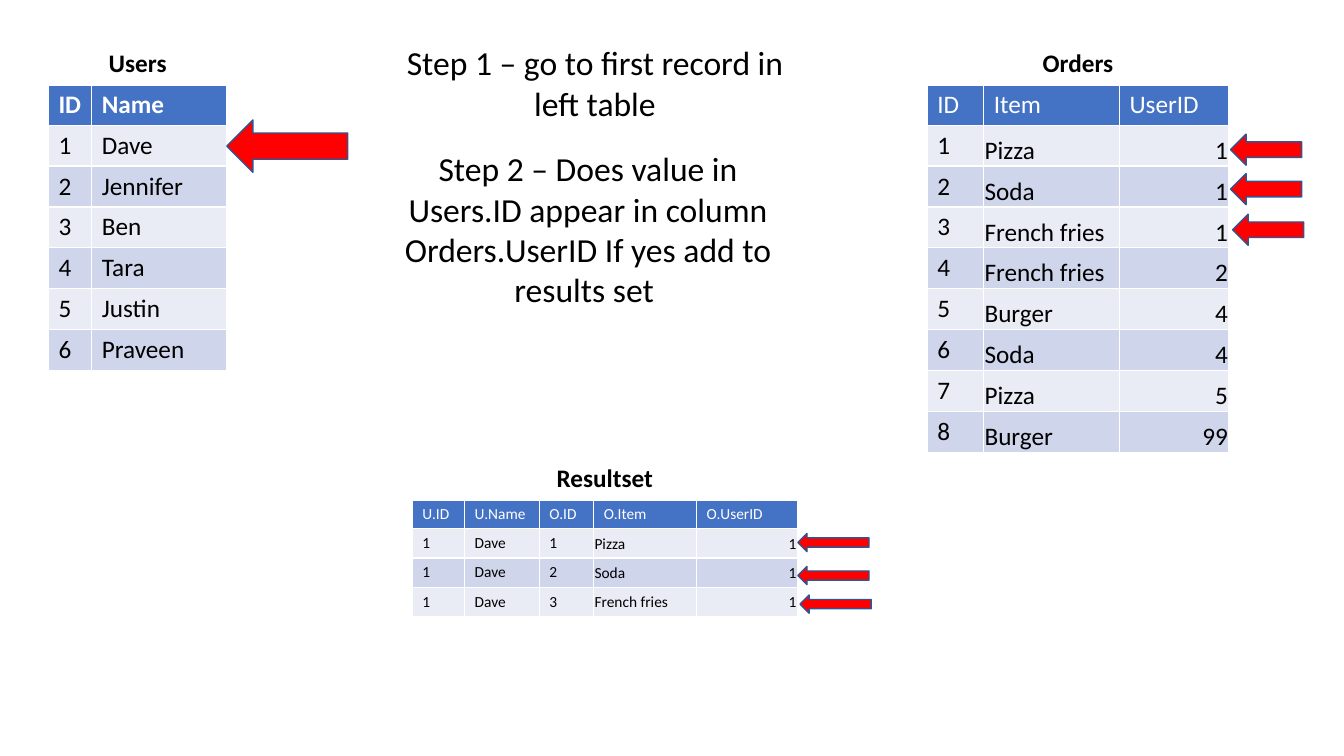
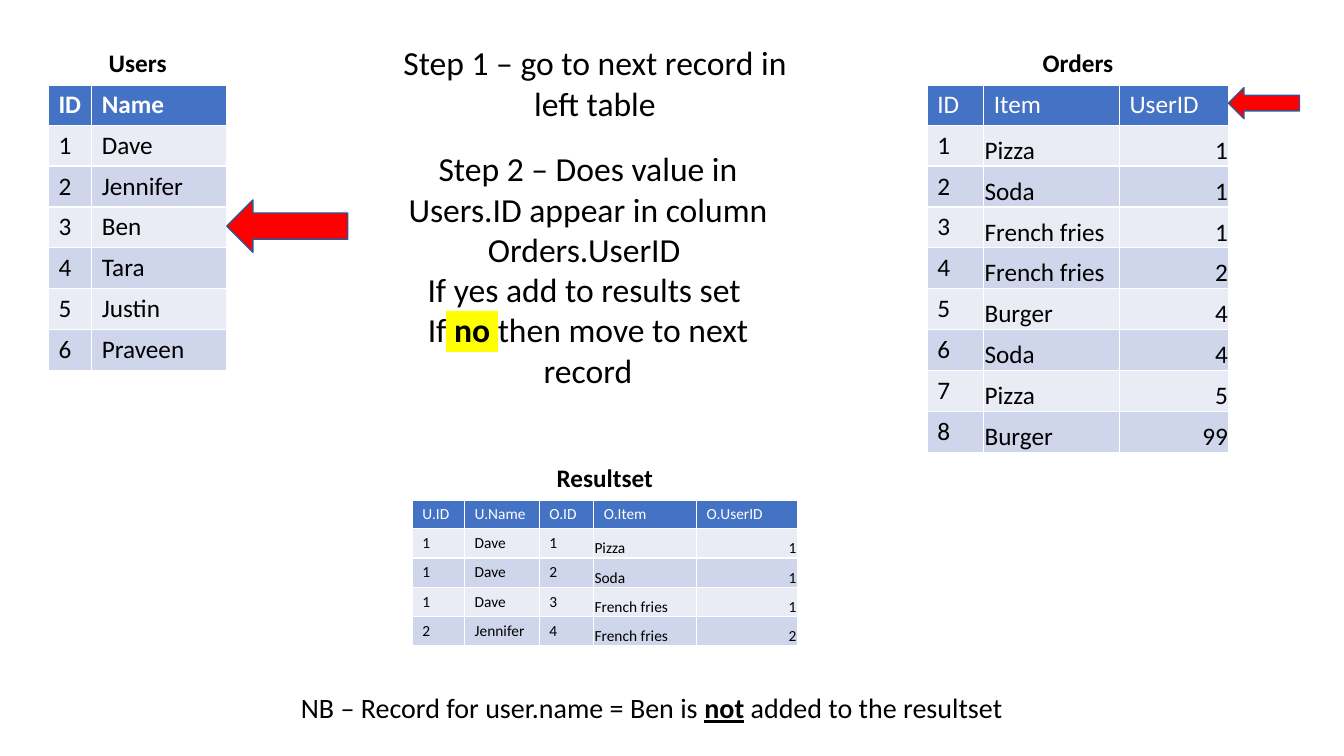
from lxml import etree
from pptx import Presentation
from pptx.dml.color import RGBColor
from pptx.enum.shapes import MSO_SHAPE
from pptx.enum.text import MSO_ANCHOR, MSO_AUTO_SIZE, PP_ALIGN
from pptx.oxml.ns import qn
from pptx.util import Pt

LEFT_ARROW = MSO_SHAPE.LEFT_ARROW
TOP, MIDDLE, BOTTOM = MSO_ANCHOR.TOP, MSO_ANCHOR.MIDDLE, MSO_ANCHOR.BOTTOM
CENTER, LEFT, RIGHT = PP_ALIGN.CENTER, PP_ALIGN.LEFT, PP_ALIGN.RIGHT
NO_FIT, GROW = MSO_AUTO_SIZE.NONE, MSO_AUTO_SIZE.SHAPE_TO_FIT_TEXT

# Shared style
FONT = "Calibri"
BLACK, WHITE, HEADER_BLUE = "000000", "FFFFFF", "4472C4"
BANDS = ("E9EBF5", "CFD5EA")
ARROW_RED, ARROW_EDGE, YELLOW = "FF0000", "325491", "FFFF00"
CAPTION_SIZE, CAPTION_HEIGHT = 18, 29.2
TIGHT_INSET = 0.6

# Tables: tight_columns are the columns whose values have almost no inset
USERS = {
    "caption": "Users", "left": 34.6, "top": 31, "columns": (31, 96.5),
    "row_height": 29.2, "size": 18, "bold_header": True,
    "tight_columns": (), "tight_anchor": TOP,
    "header": ("ID", "Name"),
    "rows": [("1", "Dave"), ("2", "Jennifer"), ("3", "Ben"),
             ("4", "Tara"), ("5", "Justin"), ("6", "Praveen")],
}
ORDERS = {
    "caption": "Orders", "left": 662.4, "top": 31, "columns": (40.3, 97, 78),
    "row_height": 29.2, "size": 18, "bold_header": False,
    "tight_columns": (1, 2), "tight_anchor": BOTTOM,
    "header": ("ID", "Item", "UserID"),
    "rows": [("1", "Pizza", "1"), ("2", "Soda", "1"),
             ("3", "French fries", "1"), ("4", "French fries", "2"),
             ("5", "Burger", "4"), ("6", "Soda", "4"),
             ("7", "Pizza", "5"), ("8", "Burger", "99")],
}
RESULT_SET = {
    "caption": "Resultset", "left": 294.5, "top": 327.6,
    "columns": (37.4, 53.3, 38.9, 73.5, 72),
    "row_height": 20.9, "size": 11, "bold_header": False,
    "tight_columns": (3, 4), "tight_anchor": MIDDLE,
    "header": ("U.ID", "U.Name", "O.ID", "O.Item", "O.UserID"),
    "rows": [("1", "Dave", "1", "Pizza", "1"),
             ("1", "Dave", "2", "Soda", "1"),
             ("1", "Dave", "3", "French fries", "1")],
}
LONGER_RESULT_SET = {
    **RESULT_SET, "tight_anchor": BOTTOM,
    "rows": RESULT_SET["rows"] + [("2", "Jennifer", "4", "French fries", "2")],
}

# Arrow sizes by the table they point at
USER_ARROW, ORDER_ARROW, RESULT_ARROW = (86.4, 37.4), (50.8, 22.2), (50.8, 13)

# Text is a list of paragraphs, each a list of (text, style) runs
STEP_ONE_BOX = (275, 26.6, 300, 65.5)
STEP_TWO_LEFT, STEP_TWO_TOP, STEP_TWO_WIDTH = 270, 102.2, 300
NOTE_BOX = (203, 489.6, 525, 31.5)
QUESTION = [("Step 2 – Does value in Users.ID appear in column", {})]
SLIDES = [
    {
        "step_one": [[("Step 1 – go to first record in left table", {})]],
        "step_two": [QUESTION,
                     [("Orders.UserID If yes add to results set ", {})]],
        "step_two_height": 124,
        "result_set": RESULT_SET,
        "arrows": [(USER_ARROW, [(162, 85.7)]),
                   (ORDER_ARROW, [(879, 95.8), (879, 124), (880.5, 153)]),
                   (RESULT_ARROW, [(570, 381), (570, 404.6), (571.5, 425)])],
        "note": None,
    },
    {
        "step_one": [[("Step 1 – go to next record in left table", {})]],
        "step_two": [QUESTION,
                     [("Orders.UserID ", {})],
                     [("If yes add to results set ", {})],
                     [("If", {}), (" ", {"highlight": YELLOW}),
                      ("no", {"highlight": YELLOW, "bold": True}),
                      (" ", {"highlight": YELLOW}),
                      ("then move to next record", {})]],
        "step_two_height": 181.5,
        "result_set": LONGER_RESULT_SET,
        "arrows": [(USER_ARROW, [(162, 142.8)]),
                   (ORDER_ARROW, [(877.5, 62.6)])],
        "note": [[("NB – Record for user.name = Ben is ", {}),
                  ("not", {"bold": True, "underline": True}),
                  (" added to the resultset", {})]],
    },
]


def rgb(color):
    return RGBColor.from_string(color)


def place(shape, left, top, width, height):
    shape.left, shape.top = Pt(left), Pt(top)
    shape.width, shape.height = Pt(width), Pt(height)


def add_run(paragraph, text, size, color=BLACK, bold=False, underline=False,
            highlight=None):
    run = paragraph.add_run()
    run.text = text
    font = run.font
    font.size, font.bold, font.underline = Pt(size), bold, underline
    font.color.rgb = rgb(color)
    if highlight:
        mark = etree.SubElement(font._element, qn("a:highlight"))
        etree.SubElement(mark, qn("a:srgbClr"), val=highlight)
    font.name = FONT


def write_text(shape, paragraphs, size, wrap=True, auto_size=NO_FIT):
    frame = shape.text_frame
    frame.word_wrap, frame.auto_size = wrap, auto_size
    frame.vertical_anchor = TOP
    for index, runs in enumerate(paragraphs):
        paragraph = frame.add_paragraph() if index else frame.paragraphs[0]
        properties = paragraph._p.get_or_add_pPr()
        properties.set("marL", "0")
        properties.set("indent", "0")
        etree.SubElement(properties, qn("a:buNone"))
        paragraph.alignment = CENTER
        paragraph.space_before = Pt(0)
        for text, style in runs:
            add_run(paragraph, text, size, **style)


def style_cell(cell, fill, bottom_width=1):
    properties = cell._tc.get_or_add_tcPr()
    widths = {"a:lnL": 1, "a:lnR": 1, "a:lnT": 1, "a:lnB": bottom_width}
    for side, width in widths.items():
        line = etree.SubElement(properties, qn(side), w=str(Pt(width)))
        line_fill = etree.SubElement(line, qn("a:solidFill"))
        etree.SubElement(line_fill, qn("a:srgbClr"), val=WHITE)
    cell.fill.solid()
    cell.fill.fore_color.rgb = rgb(fill)


def add_data_table(slide, data):
    columns, row_height = data["columns"], data["row_height"]
    lines = [data["header"]] + data["rows"]
    heights = [CAPTION_HEIGHT] + [row_height] * len(lines)
    table = slide.shapes.add_table(
        len(heights), len(columns), Pt(data["left"]), Pt(data["top"]),
        Pt(sum(columns)), Pt(sum(heights))).table
    for column, width in zip(table.columns, columns):
        column.width = Pt(width)
    for row, height in zip(table.rows, heights):
        row.height = Pt(height)

    # Caption across the full width
    for cell in table.rows[0].cells:
        style_cell(cell, WHITE, bottom_width=3)
    caption = table.cell(0, 0)
    caption.merge(table.cell(0, len(columns) - 1))
    paragraph = caption.text_frame.paragraphs[0]
    paragraph.alignment = CENTER
    add_run(paragraph, data["caption"], CAPTION_SIZE, bold=True)

    # Header and banded rows
    for row_index, values in enumerate(lines):
        is_header = row_index == 0
        fill = HEADER_BLUE if is_header else BANDS[(row_index - 1) % 2]
        for column_index, value in enumerate(values):
            cell = table.cell(row_index + 1, column_index)
            style_cell(cell, fill)
            paragraph = cell.text_frame.paragraphs[0]
            if not is_header and column_index in data["tight_columns"]:
                cell.margin_left = cell.margin_right = Pt(TIGHT_INSET)
                cell.margin_top, cell.margin_bottom = Pt(TIGHT_INSET), Pt(0)
                cell.vertical_anchor = data["tight_anchor"]
                is_last = column_index == len(columns) - 1
                paragraph.alignment = RIGHT if is_last else LEFT
            add_run(paragraph, value, data["size"],
                    color=WHITE if is_header else BLACK,
                    bold=is_header and data["bold_header"])


def add_arrow(slide, left, top, width, height):
    arrow = slide.shapes.add_shape(
        LEFT_ARROW, Pt(left), Pt(top), Pt(width), Pt(height))
    arrow.shadow.inherit = False
    arrow.fill.solid()
    arrow.fill.fore_color.rgb = rgb(ARROW_RED)
    arrow.line.color.rgb = rgb(ARROW_EDGE)
    arrow.line.width = Pt(1)


def build_slide(presentation, content):
    slide = presentation.slides.add_slide(presentation.slide_layouts[1])

    # Steps
    step_one, step_two = slide.shapes.title, slide.placeholders[1]
    place(step_one, *STEP_ONE_BOX)
    write_text(step_one, content["step_one"], 24)
    place(step_two, STEP_TWO_LEFT, STEP_TWO_TOP, STEP_TWO_WIDTH,
          content["step_two_height"])
    write_text(step_two, content["step_two"], 24)

    # Tables and the arrows pointing at their rows
    for data in (USERS, ORDERS, content["result_set"]):
        add_data_table(slide, data)
    for size, positions in content["arrows"]:
        for position in positions:
            add_arrow(slide, *position, *size)

    # Closing note
    if content["note"]:
        note = slide.shapes.add_textbox(*[Pt(length) for length in NOTE_BOX])
        write_text(note, content["note"], 20, wrap=False, auto_size=GROW)


def main():
    presentation = Presentation()
    presentation.slide_width, presentation.slide_height = Pt(960), Pt(540)
    for content in SLIDES:
        build_slide(presentation, content)
    presentation.save("out.pptx")


if __name__ == "__main__":
    main()
